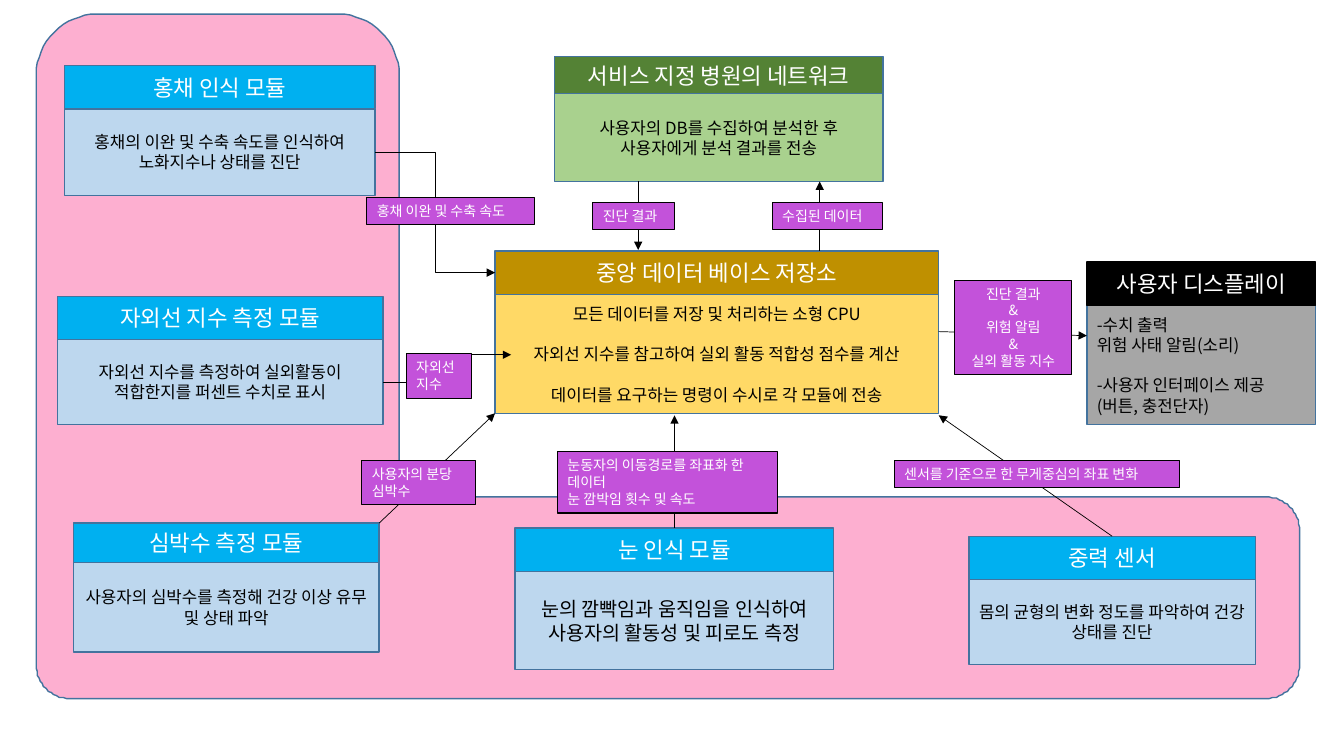
from math import cos, pi, sin

from lxml.etree import SubElement
from pptx import Presentation
from pptx.dml.color import RGBColor
from pptx.enum.shapes import MSO_CONNECTOR, MSO_SHAPE
from pptx.enum.text import MSO_ANCHOR, PP_ALIGN
from pptx.oxml.ns import qn
from pptx.util import Pt

PX = 9144  # 100 px to the inch
FONT = "Noto Sans CJK KR"
EDGE, BLACK, WHITE = "43739E", "000000", "FFFFFF"
PINK, PURPLE = "FDAFD0", "C352DA"
MODULE = ("00B0F0", "BDD7EE")
LEFT, CENTER = PP_ALIGN.LEFT, PP_ALIGN.CENTER
TOP_SIDE, LEFT_SIDE, RIGHT_SIDE = 0, 1, 3


def color(hex_code):
    return RGBColor.from_string(hex_code)


def paint(sp, fill, line, width=1):
    sp.shadow.inherit = False
    sp.fill.solid()
    sp.fill.fore_color.rgb = color(fill)
    sp.line.color.rgb = color(line)
    sp.line.width = Pt(width)


def write(sp, text, size, ink, align, anchor, gaps=()):
    """Fill the shape with text; paragraphs whose index is in gaps get a line of space above."""
    tf = sp.text_frame
    tf.word_wrap = True
    tf.vertical_anchor = anchor
    tf.text = text
    for i, p in enumerate(tf.paragraphs):
        p.alignment = align
        if i in gaps:
            p.space_before = Pt(14.5)
        for r in p.runs:
            r.font.size = Pt(size)
            r.font.name = FONT
            r.font.color.rgb = color(ink)
            SubElement(r.font._element, qn("a:ea"), typeface=FONT)


def box(slide, x, y, w, h, fill, line, width=1):
    sp = slide.shapes.add_shape(MSO_SHAPE.RECTANGLE, x * PX, y * PX, w * PX, h * PX)
    paint(sp, fill, line, width)
    return sp


def card(slide, x, y, w, head_h, body_h, title, text, colors=MODULE,
         head_line=EDGE, size=12, align=CENTER, gaps=()):
    """Draw a titled box and return its header and body."""
    body = box(slide, x, y + head_h, w, body_h, colors[1], EDGE)
    write(body, text, size, BLACK, align, MSO_ANCHOR.MIDDLE, gaps)
    head = box(slide, x, y, w, head_h, colors[0], head_line)
    write(head, title, 16, WHITE, CENTER, MSO_ANCHOR.MIDDLE)
    return head, body


def label(slide, x, y, w, h, text, align=LEFT):
    sp = box(slide, x, y, w, h, PURPLE, BLACK, 0.75)
    write(sp, text, 10, WHITE, align, MSO_ANCHOR.TOP)


def arrow(slide, start, end, kind=MSO_CONNECTOR.STRAIGHT, source=None, target=None):
    """Draw an arrow; source and target are (shape, side) pairs to join."""
    cx = slide.shapes.add_connector(kind, *(v * PX for v in start + end))
    if source:
        cx.begin_connect(*source)
    if target:
        cx.end_connect(*target)
    cx.line.color.rgb = color(BLACK)
    cx.line.width = Pt(0.5)
    SubElement(cx.line._get_or_add_ln(), qn("a:tailEnd"), type="triangle")
    SubElement(cx._element.spPr, qn("a:effectLst"))


def rounded_outline(corners, steps=16):
    """Return the points of a clockwise outline from (x, y, radius) corners."""
    points = []
    for i, (x, y, radius) in enumerate(corners):
        if not radius:
            points.append((x, y))
            continue
        x0, y0, _ = corners[i - 1]
        x1, y1, _ = corners[(i + 1) % len(corners)]
        before, after = abs(x - x0) + abs(y - y0), abs(x1 - x) + abs(y1 - y)
        ux, uy = (x - x0) / before, (y - y0) / before
        vx, vy = (x1 - x) / after, (y1 - y) / after
        for k in range(steps + 1):
            t = pi / 2 * k / steps
            a, b = radius * (sin(t) - 1), radius * (1 - cos(t))
            points.append((x + ux * a + vx * b, y + uy * a + vy * b))
    return points


def device_area(slide):
    points = rounded_outline([(36, 14, 60), (396, 14, 60), (396, 493, 0),
                              (1289, 493, 33), (1289, 693, 33), (36, 693, 33)])
    builder = slide.shapes.build_freeform(*points[0], scale=PX)
    builder.add_line_segments(points[1:], close=True)
    paint(builder.convert_to_shape(), PINK, EDGE)


def main():
    prs = Presentation()
    prs.slide_width, prs.slide_height = 1333 * PX, 750 * PX
    slide = prs.slides.add_slide(prs.slide_layouts[6])
    device_area(slide)

    card(slide, 550, 56, 326, 37, 87, "서비스 지정 병원의 네트워크",
         "사용자의 DB를 수집하여 분석한 후 사용자에게 분석 결과를 전송",
         ("548235", "A9D18E"))
    db_head, _ = card(
        slide, 491, 249, 440, 43, 118, "중앙 데이터 베이스 저장소",
        "모든 데이터를 저장 및 처리하는 소형 CPU\n"
        "자외선 지수를 참고하여 실외 활동 적합성 점수를 계산\n"
        "데이터를 요구하는 명령이 수시로 각 모듈에 전송",
        ("BF9000", "FFD966"), gaps=(1, 2))
    card(slide, 1078, 260, 227, 43, 118, "사용자 디스플레이",
         "-수치 출력\n위험 사태 알림(소리)\n-사용자 인터페이스 제공\n(버튼, 충전단자)",
         (BLACK, "A6A6A6"), head_line=BLACK, align=LEFT, gaps=(2,))
    _, iris = card(slide, 64, 65, 308, 43, 86, "홍채 인식 모듈",
                   "홍채의 이완 및 수축 속도를 인식하여 노화지수나 상태를 진단")
    _, uv = card(slide, 57, 294, 323, 43, 84, "자외선 지수 측정 모듈",
                 "자외선 지수를 측정하여 실외활동이 적합한지를 퍼센트 수치로 표시")
    card(slide, 73, 519, 303, 39, 89, "심박수 측정 모듈",
         "사용자의 심박수를 측정해 건강 이상 유무 및 상태 파악")
    eye_head, _ = card(slide, 511, 524, 316, 43, 97, "눈 인식 모듈",
                       "눈의 깜빡임과 움직임을 인식하여 사용자의 활동성 및 피로도 측정",
                       size=14)
    gravity_head, _ = card(slide, 961, 532, 284, 43, 84, "중력 센서",
                           "몸의 균형의 변화 정도를 파악하여 건강 상태를 진단")

    arrow(slide, (372, 150), (491, 270), MSO_CONNECTOR.ELBOW,
          (iris, RIGHT_SIDE), (db_head, LEFT_SIDE))
    arrow(slide, (380, 379), (507, 352), MSO_CONNECTOR.ELBOW, (uv, RIGHT_SIDE))
    arrow(slide, (376, 519), (491, 410))
    arrow(slide, (669, 524), (669, 412), source=(eye_head, TOP_SIDE))
    arrow(slide, (1103, 532), (931, 412), source=(gravity_head, TOP_SIDE))
    arrow(slide, (813, 249), (813, 180))
    arrow(slide, (633, 180), (633, 248))
    arrow(slide, (931, 329), (1078, 333))

    label(slide, 364, 196, 166, 27, "홍채 이완 및 수축 속도")
    label(slide, 553, 448, 218, 61,
          "눈동자의 이동경로를 좌표화 한 데이터\n눈 깜박임 횟수 및 속도")
    label(slide, 359, 457, 113, 44, "사용자의 분당 심박수")
    label(slide, 403, 351, 65, 44, "자외선 지수")
    label(slide, 887, 457, 283, 27, "센서를 기준으로 한 무게중심의 좌표 변화")
    label(slide, 947, 278, 116, 94,
          "진단 결과\n&\n위험 알림\n&\n실외 활동 지수", CENTER)
    label(slide, 588, 201, 81, 27, "진단 결과")
    label(slide, 766, 201, 109, 27, "수집된 데이터")

    prs.save("out.pptx")


if __name__ == "__main__":
    main()
